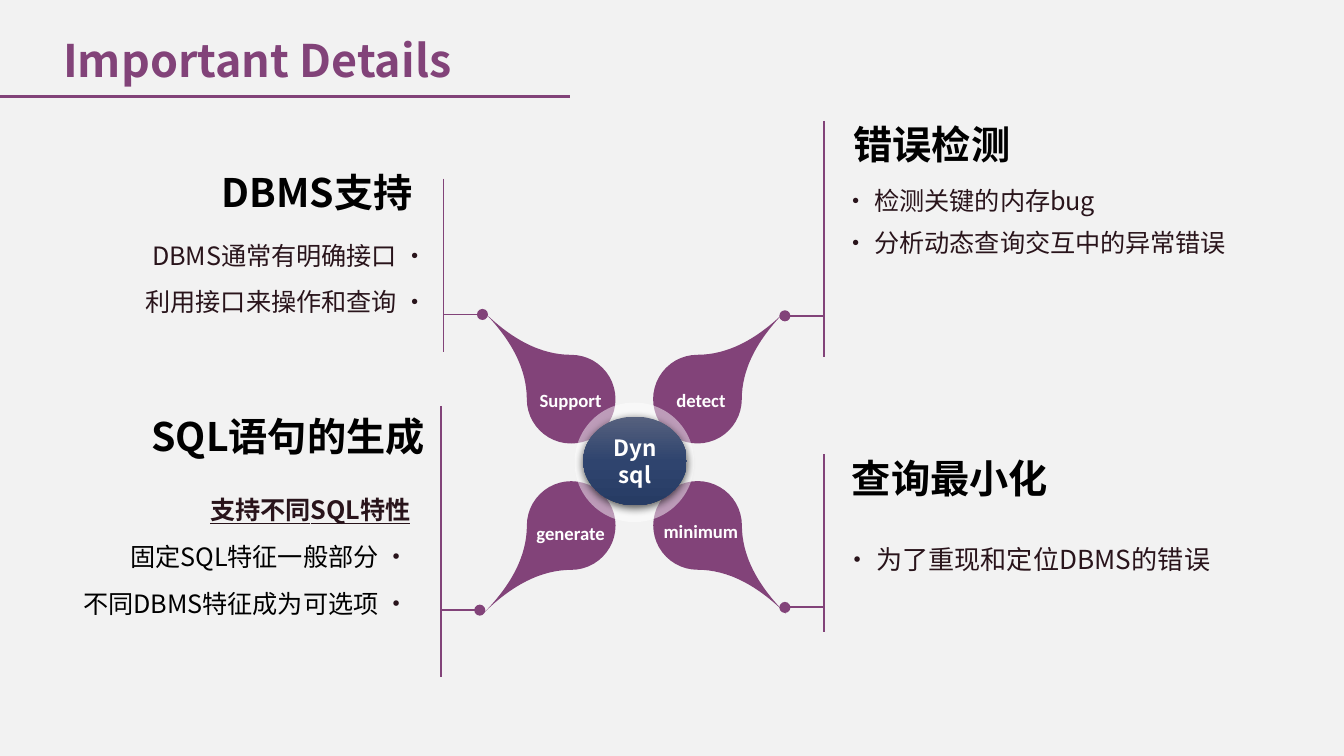
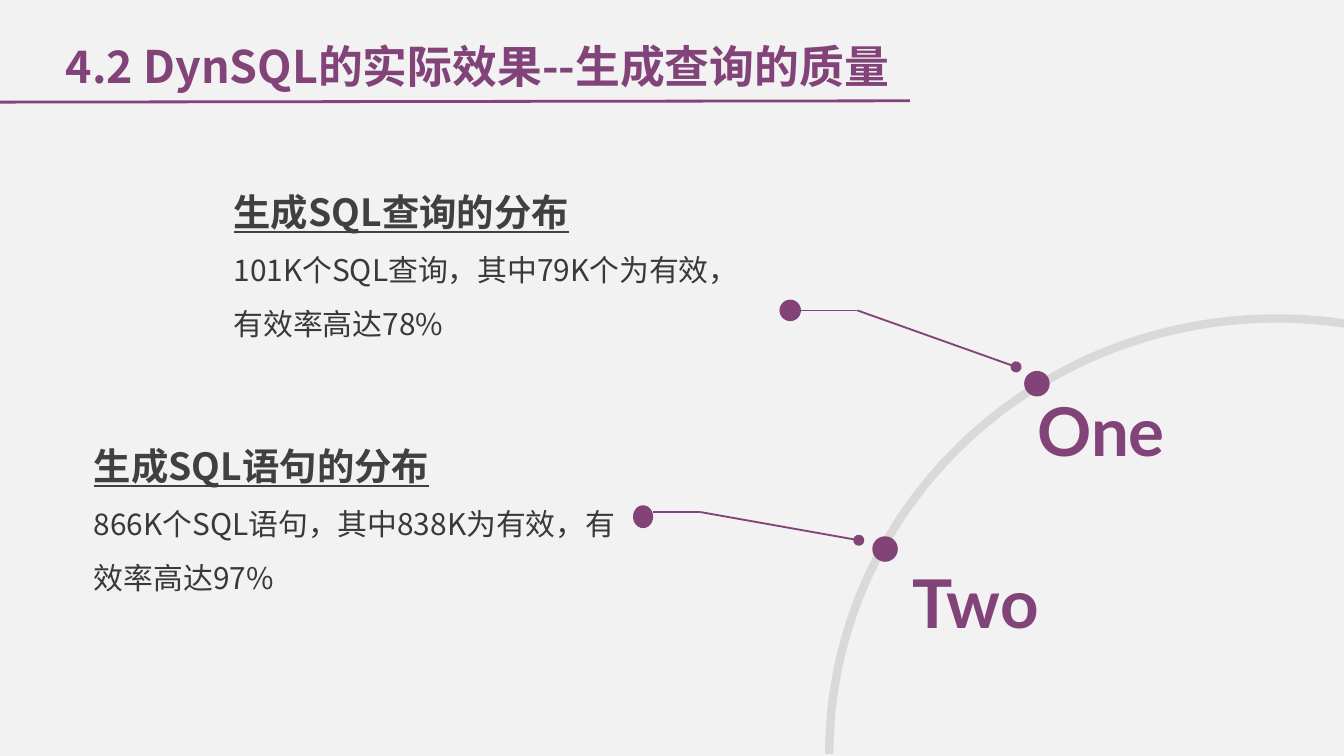
from copy import deepcopy
from math import cos, radians, sin

from lxml.etree import SubElement
from pptx import Presentation
from pptx.dml.color import RGBColor
from pptx.enum.shapes import MSO_CONNECTOR, MSO_SHAPE
from pptx.enum.text import MSO_ANCHOR, MSO_AUTO_SIZE, PP_ALIGN
from pptx.oxml.ns import qn
from pptx.util import Inches, Pt

PLUM, INK, BLACK, WHITE = "824379", "29141B", "000000", "FFFFFF"
PAPER, ARC_GREY, HEAD_GREY, BODY_GREY = "F2F2F2", "D9D9D9", "404040", "3B3838"
CJK = "Noto Sans CJK SC"
DEFAULT_INSETS = (0.1, 0.05)


def rgb(code):
    return RGBColor.from_string(code)


# Text helpers
def style_run(r, size, color, font=CJK, bold=False, underline=False):
    r.font.size, r.font.name = Pt(size), font
    r.font.bold, r.font.underline = bold, underline
    r.font.color.rgb = rgb(color)
    SubElement(r._r.get_or_add_rPr(), qn("a:ea")).set("typeface", font)


def write(tf, lines, align=PP_ALIGN.LEFT, spacing=1.0, **style):
    """Each line is a string, or a list of (text, style changes) runs."""
    for i, line in enumerate(lines):
        p = tf.paragraphs[0] if i == 0 else tf.add_paragraph()
        p.alignment, p.line_spacing = align, spacing
        for text, changes in [(line, {})] if isinstance(line, str) else line:
            r = p.add_run()
            r.text = text
            style_run(r, **{**style, **changes})


def set_insets(tf, insets):
    tf.margin_left = tf.margin_right = Inches(insets[0])
    tf.margin_top = tf.margin_bottom = Inches(insets[1])


def add_text(s, box, lines, insets=DEFAULT_INSETS, **style):
    tf = s.shapes.add_textbox(*map(Inches, box)).text_frame
    tf.word_wrap = True
    set_insets(tf, insets)
    write(tf, lines, **style)


# Shape helpers
def add_line(s, start, end, width=1, head=False, tail=False):
    c = s.shapes.add_connector(MSO_CONNECTOR.STRAIGHT, *map(Inches, (*start, *end)))
    c.line.color.rgb = rgb(PLUM)
    c.line.width = Pt(width)
    ln = c.line._get_or_add_ln()
    for tag, wanted in (("a:headEnd", head), ("a:tailEnd", tail)):
        if wanted:
            SubElement(ln, qn(tag)).set("type", "oval")
    SubElement(c._element.spPr, qn("a:effectLst"))


def add_shape(s, kind, box, color=PLUM, alpha=None):
    sp = s.shapes.add_shape(kind, *map(Inches, box))
    sp.shadow.inherit = False
    sp.line.fill.background()
    sp.fill.solid()
    sp.fill.fore_color.rgb = rgb(color)
    if alpha:
        clr = sp._element.spPr.find(qn("a:solidFill"))[0]
        SubElement(clr, qn("a:alpha")).set("val", str(alpha * 1000))
    return sp


def add_title(s, text, box, rule_start, rule_end, wrap=True):
    title = s.shapes.title
    title.left, title.top, title.width, title.height = map(Inches, box)
    tf = title.text_frame
    tf.word_wrap, tf.auto_size = wrap, MSO_AUTO_SIZE.NONE
    tf.vertical_anchor = MSO_ANCHOR.TOP
    set_insets(tf, DEFAULT_INSETS)
    write(tf, [text], size=24, color=PLUM, bold=True)
    add_line(s, rule_start, rule_end, 1.5)


# Slide 1: four topics around a flower
def add_topic(s, x, top, bottom, stub, heading, heading_box, lines, body_box,
              heading_insets=(0, 0), body_insets=(0, 0), size=13.5, spacing=1.5):
    """Draw a topic beside the rule at x; boxes and stub count from its top."""
    on_left = heading_box[0] < 0
    align = PP_ALIGN.RIGHT if on_left else PP_ALIGN.LEFT
    tip = x + (0.29 if on_left else -0.29)
    add_line(s, (x, top), (x, bottom))
    add_line(s, (tip, top + stub), (x, top + stub), head=True)

    def place(box):
        return x + box[0], top + box[1], box[2], box[3]

    add_text(s, place(heading_box), [heading], heading_insets, align=align,
             spacing=1.5, size=21, color=BLACK, bold=True)
    add_text(s, place(body_box), lines, body_insets, align=align,
             spacing=spacing, size=size, color=INK)


def add_flower(s, x, y):
    """Draw the petals and hub around the centre point (x, y)."""
    petal, gap = 0.66, 0.14
    near, far = gap, -gap - petal
    petals = [("Support", far, far, 270, (-0.82, -0.59, 0.69, 0.29)),
              ("detect", near, far, 0, (0.2, -0.59, 0.59, 0.33)),
              ("minimum", near, near, 90, (0.04, 0.39, 0.91, 0.27)),
              ("generate", far, near, 180, (-0.9, 0.4, 0.85, 0.28))]
    for label, dx, dy, turn, (lx, ly, w, h) in petals:
        sp = add_shape(s, MSO_SHAPE.TEAR, (x + dx, y + dy, petal, petal))
        sp.adjustments[0] = 2.0
        sp.rotation = turn
        add_text(s, (x + lx, y + ly, w, h), [label], (0.07, 0.04),
                 align=PP_ALIGN.CENTER, size=10, color=WHITE, font="Calibri", bold=True)
    for d in (0.89, 0.66):
        add_shape(s, MSO_SHAPE.OVAL, (x - d / 2, y - d / 2, d, d), WHITE, alpha=48)
    add_hub(s, (x - 0.38, y - 0.34, 0.77, 0.66))


def add_hub(s, box):
    hub = add_shape(s, MSO_SHAPE.OVAL, box)
    hub.fill.gradient()
    hub.fill.gradient_angle = 270
    first = hub.fill.gradient_stops[0]._gs
    first.addnext(deepcopy(first))
    shades = [(0, "56617E"), (0.5, "2F446E"), (1, "273C64")]
    for stop, (position, color) in zip(hub.fill.gradient_stops, shades):
        stop.position, stop.color.rgb = position, rgb(color)
    # Soft shadow straight below
    effects = hub._element.spPr.find(qn("a:effectLst"))
    shadow = SubElement(effects, qn("a:outerShdw"), blurRad=str(Pt(4.5)),
                        dist=str(Pt(1.5)), dir="5400000", rotWithShape="0")
    clr = SubElement(shadow, qn("a:srgbClr"), val=BLACK)
    SubElement(clr, qn("a:alpha"), val="63000")
    tf = hub.text_frame
    tf.word_wrap, tf.vertical_anchor = True, MSO_ANCHOR.MIDDLE
    write(tf, ["Dynsql"], PP_ALIGN.CENTER, size=12, color=WHITE, bold=True)


def details_slide(s):
    add_title(s, "Important Details", (0.37, 0.19, 3.3, 0.5),
              (-0.01, 0.72), (4.24, 0.72), wrap=False)
    add_topic(s, 3.3, 1.33, 2.62, 1.01, "DBMS支持", (-2.55, -0.25, 2.32, 0.47),
              ["DBMS通常有明确接口 •", "利用接口来操作和查询 •"],
              (-2.45, 0.35, 2.33, 0.64))
    add_topic(s, 6.13, 0.9, 2.66, 1.45, "错误检测", (0.22, -0.18, 2.32, 0.47),
              ["• 检测关键的内存bug", "• 分析动态查询交互中的异常错误"],
              (0.15, 0.39, 3.13, 0.6), spacing=1.4)
    plain, dot = {"color": BLACK}, ("•", {"size": 14})
    add_topic(s, 3.28, 3.02, 5.04, 1.52, "SQL语句的生成", (-2.45, -0.13, 2.33, 0.47),
              [[("支持不同SQL特性", {"bold": True, "underline": True})],
               [("固定SQL特征一般部分 ", plain), dot],
               [("不同DBMS特征成为可选项 ", plain), dot]],
              (-2.85, 0.5, 2.72, 1.11), body_insets=DEFAULT_INSETS)
    add_topic(s, 6.13, 3.38, 4.7, 1.14, "查询最小化", (0.11, -0.22, 2.35, 0.57),
              ["• 为了重现和定位DBMS的错误"], (0.15, 0.55, 3.19, 0.31),
              heading_insets=DEFAULT_INSETS, size=14)
    add_flower(s, 4.72, 3.44)


# Slide 2: two findings linked to points on an arc
def add_arc(s, cx, cy, rx, ry):
    points = [(Inches(cx - rx * cos(radians(a))), Inches(cy - ry * sin(radians(a))))
              for a in range(0, 100)]
    builder = s.shapes.build_freeform(*points[0], scale=1.0)
    builder.add_line_segments(points[1:], close=False)
    sp = builder.convert_to_shape()
    sp.shadow.inherit = False
    sp.fill.background()
    sp.line.color.rgb = rgb(ARC_GREY)
    sp.line.width = Pt(4.5)


def add_finding(s, box, heading, body):
    bold = {"size": 20, "color": HEAD_GREY, "bold": True, "underline": True}
    add_text(s, box, [[(heading, bold)], body], spacing=1.5, size=16, color=BODY_GREY)


def add_marker(s, x, y, name, name_box):
    add_shape(s, MSO_SHAPE.OVAL, (x, y, 0.19, 0.19))
    dx, dy = name_box
    add_text(s, (x + dx, y + dy, 1.36, 0.71), [name],
             size=36, color=PLUM, font="Lato", bold=True)


def add_leader(s, start, bend, end, dot_box):
    add_line(s, bend, end, tail=True)
    add_line(s, start, bend)
    add_shape(s, MSO_SHAPE.OVAL, dot_box)


def results_slide(s):
    add_title(s, "4.2 DynSQL的实际效果--生成查询的质量", (0.39, 0.24, 7.28, 0.81),
              (0, 0.76), (6.77, 0.75))
    add_finding(s, (1.64, 1.19, 4.16, 1.41), "生成SQL查询的分布",
                "101K个SQL查询，其中79K个为有效，有效率高达78%")
    add_finding(s, (0.6, 3.08, 4.11, 1.41), "生成SQL语句的分布",
                "866K个SQL语句，其中838K为有效，有效率高达97%")
    add_arc(s, 9.5, 5.61, 3.33, 3.24)
    add_marker(s, 6.49, 3.99, "Two", (0.2, 0.14))
    add_marker(s, 7.62, 2.76, "One", (0, 0.09))
    add_leader(s, (4.86, 3.81), (5.21, 3.81), (6.39, 4.02), (4.71, 3.76, 0.15, 0.17))
    add_leader(s, (5.91, 2.31), (6.38, 2.31), (7.56, 2.73), (5.8, 2.23, 0.16, 0.16))


def main():
    prs = Presentation()
    # Widescreen, 16:9
    prs.slide_width = Inches(10)
    prs.slide_height = prs.slide_width * 9 // 16
    fill = prs.slide_master.background.fill
    fill.solid()
    fill.fore_color.rgb = rgb(PAPER)
    title_only = prs.slide_layouts.get_by_name("Title Only")
    for build in (details_slide, results_slide):
        build(prs.slides.add_slide(title_only))
    prs.save("out.pptx")


if __name__ == "__main__":
    main()
